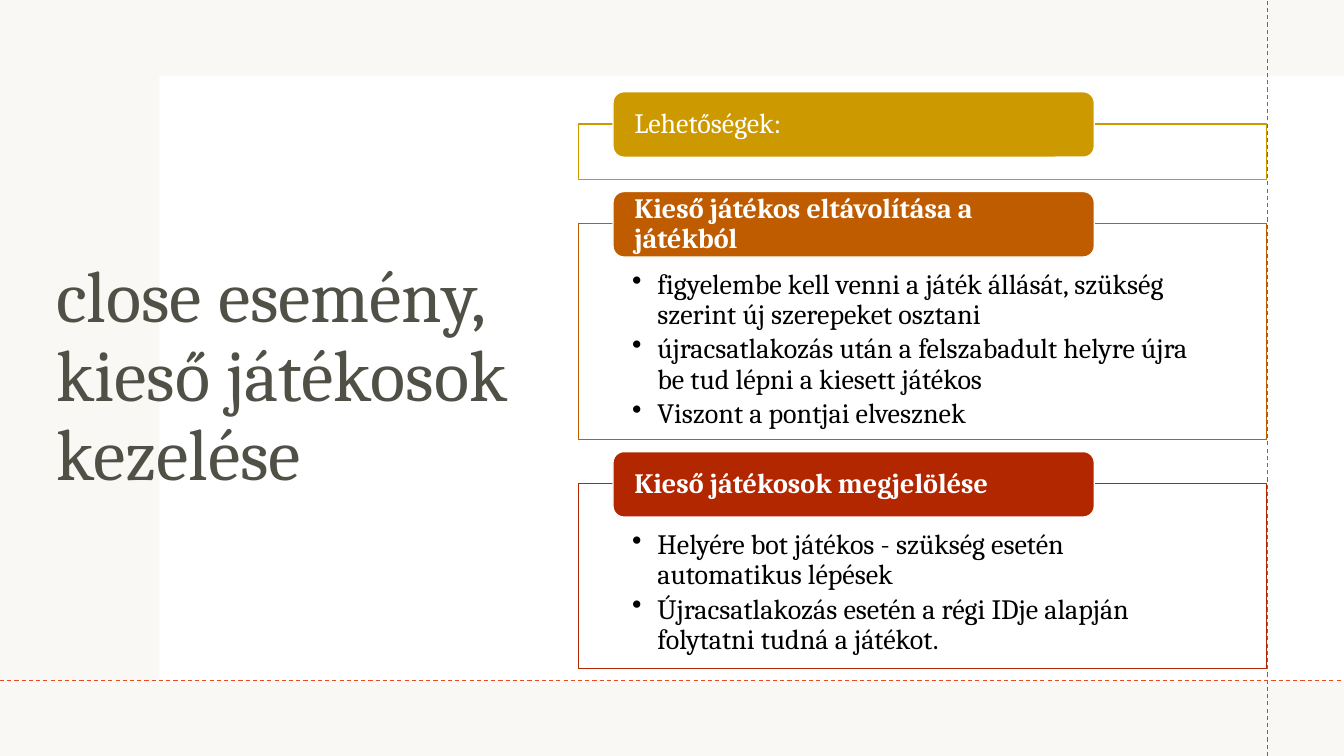
from lxml import etree
from pptx import Presentation
from pptx.dml.color import RGBColor
from pptx.enum.dml import MSO_LINE
from pptx.enum.shapes import MSO_CONNECTOR, MSO_SHAPE
from pptx.enum.text import MSO_ANCHOR, PP_ALIGN
from pptx.oxml.ns import qn
from pptx.util import Inches, Pt

RECT = MSO_SHAPE.RECTANGLE
ROUNDED = MSO_SHAPE.ROUNDED_RECTANGLE
STRAIGHT = MSO_CONNECTOR.STRAIGHT
DASH = MSO_LINE.DASH
LEFT = PP_ALIGN.LEFT
TOP = MSO_ANCHOR.TOP
MIDDLE = MSO_ANCHOR.MIDDLE

FONT = "Cambria"
WIDTH, HEIGHT = 13.33, 7.5
COLORS = {
    "white": "FFFFFF",
    "black": "000000",
    "cream": "EEECE1",
    "title": "505046",
    "guide": "6B6B6B",
    "orange": "E84C22",
    "gold": "CC9900",
    "copper": "BF5C00",
    "red": "B22600",
}
OPTIONS = [
    ("Lehetőségek:", "gold", 0.55, []),
    ("Kieső játékos eltávolítása a játékból", "copper", 2.14, [
        "figyelembe kell venni a játék állását, szükség szerint új szerepeket osztani",
        "újracsatlakozás után a felszabadult helyre újra be tud lépni a kiesett játékos",
        "Viszont a pontjai elvesznek",
    ]),
    ("Kieső játékosok megjelölése", "red", 1.83, [
        "Helyére bot játékos - szükség esetén automatikus lépések",
        "Újracsatlakozás esetén a régi IDje alapján folytatni tudná a játékot.",
    ]),
]


def rgb(name):
    return RGBColor.from_string(COLORS[name])


def add_block(page, kind, box, fill, line=None, opacity=100):
    shape = page.shapes.add_shape(kind, *map(Inches, box))
    shape.shadow.inherit = False
    shape.fill.solid()
    shape.fill.fore_color.rgb = rgb(fill)
    if opacity < 100:
        color = shape.fill._xPr.find(".//" + qn("a:srgbClr"))
        etree.SubElement(color, qn("a:alpha"), val=str(opacity * 1000))
    if line:
        shape.line.color.rgb = rgb(line)
        shape.line.width = Pt(1)
    else:
        shape.line.fill.background()
    return shape


def write_text(shape, lines, size=20, color="black", bold=False, anchor=TOP,
               insets=(0.1, 0.05, 0.1, 0.05), bullet=False, after=0):
    frame = shape.text_frame
    frame.word_wrap = True
    frame.vertical_anchor = anchor
    frame.margin_left, frame.margin_top, frame.margin_right, frame.margin_bottom = map(Inches, insets)
    for index, line in enumerate(lines):
        para = frame.add_paragraph() if index else frame.paragraphs[0]
        para.alignment = LEFT
        para.line_spacing = 0.9
        para.space_after = Pt(after)
        if bullet:
            props = para._p.get_or_add_pPr()
            props.set("marL", str(Inches(0.25)))
            props.set("indent", str(-Inches(0.25)))
            etree.SubElement(props, qn("a:buChar"), char="•")
        span = para.add_run()
        span.text = line
        span.font.name = FONT
        span.font.size = Pt(size)
        span.font.bold = bold
        span.font.color.rgb = rgb(color)


def add_guide(page, start, end, color):
    guide = page.shapes.add_connector(STRAIGHT, *map(Inches, start + end))
    guide.line.color.rgb = rgb(color)
    guide.line.width = Pt(0.75)
    guide.line.dash_style = DASH
    etree.SubElement(guide._element.spPr, qn("a:effectLst"))


def add_background(page, left, top, width, height):
    add_block(page, RECT, (left, top, width, height), "cream", opacity=35)
    add_block(page, RECT, (left + 1.58, top + 0.75, width - 1.58, height - 1.5), "white")


def add_guides(page, left, top, width, height):
    guide_x, guide_y = left + 12.57, top + 6.75
    add_guide(page, (guide_x, top + height), (guide_x, top), "guide")
    add_guide(page, (left, guide_y), (left + width, guide_y), "orange")


def add_title(page, left, top, width, height):
    box = page.shapes.add_textbox(*map(Inches, (left, top, width, height)))
    write_text(box, ["close esemény, kieső játékosok kezelése"], size=52,
               color="title", anchor=MIDDLE)


def add_option(page, left, top, width, height, heading, color, points):
    panel = add_block(page, RECT, (left, top, width, height), "white", color, 90)
    if points:
        write_text(panel, points, insets=(0.53, 0.46, 0.53, 0.16), bullet=True, after=3)
    label = add_block(page, ROUNDED, (left + 0.34, top - 0.32, width * 0.7, 0.65), color, "white")
    write_text(label, [heading], color="white", bold=bool(points), anchor=MIDDLE,
               insets=(0.18, 0, 0.18, 0))


def add_options(page, left, top, width, gap):
    for heading, color, height, points in OPTIONS:
        add_option(page, left, top, width, height, heading, color, points)
        top += height + gap


def main():
    deck = Presentation()
    deck.slide_width = Inches(WIDTH)
    deck.slide_height = Inches(HEIGHT)
    page = deck.slides.add_slide(deck.slide_layouts[6])
    add_background(page, 0, 0, WIDTH, HEIGHT)
    add_title(page, 0.46, 1.03, 5.27, 5.44)
    add_guides(page, 0, 0, WIDTH, HEIGHT)
    add_options(page, 5.74, 1.23, 6.82, 0.44)
    deck.save("out.pptx")


if __name__ == "__main__":
    main()
